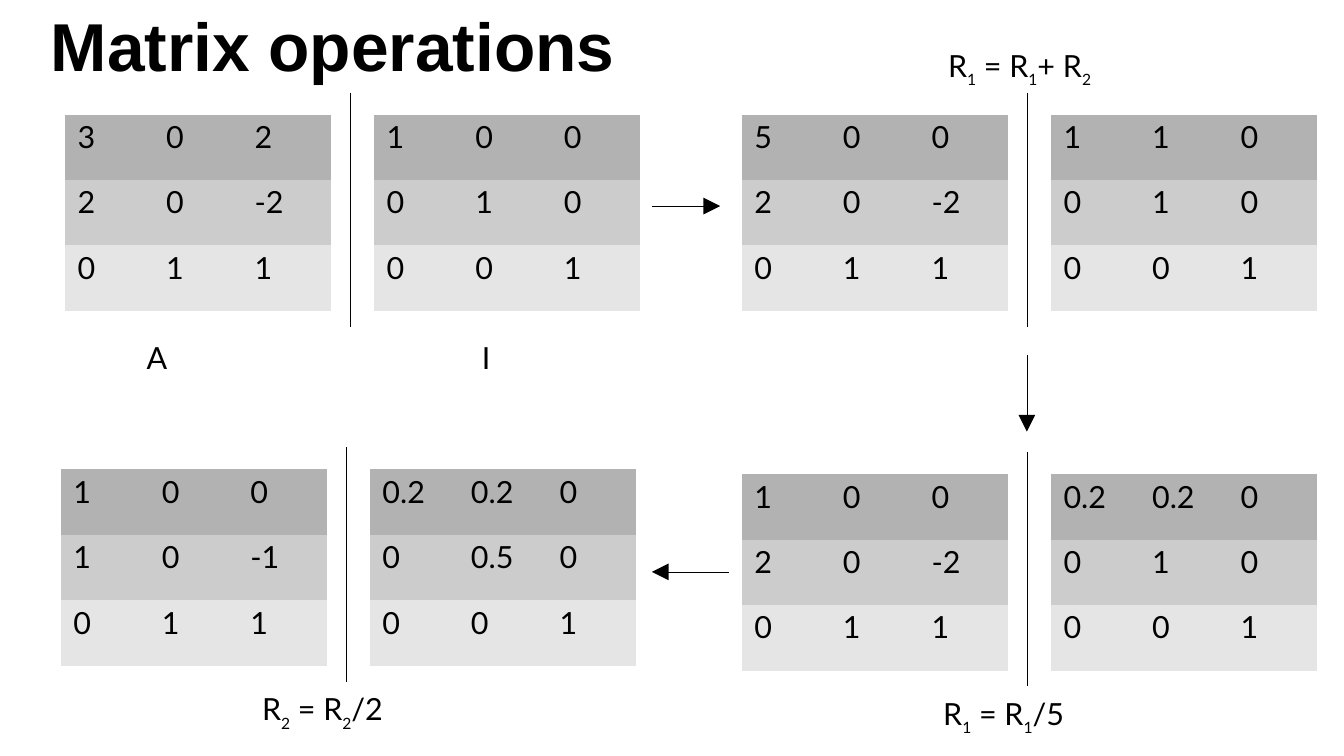
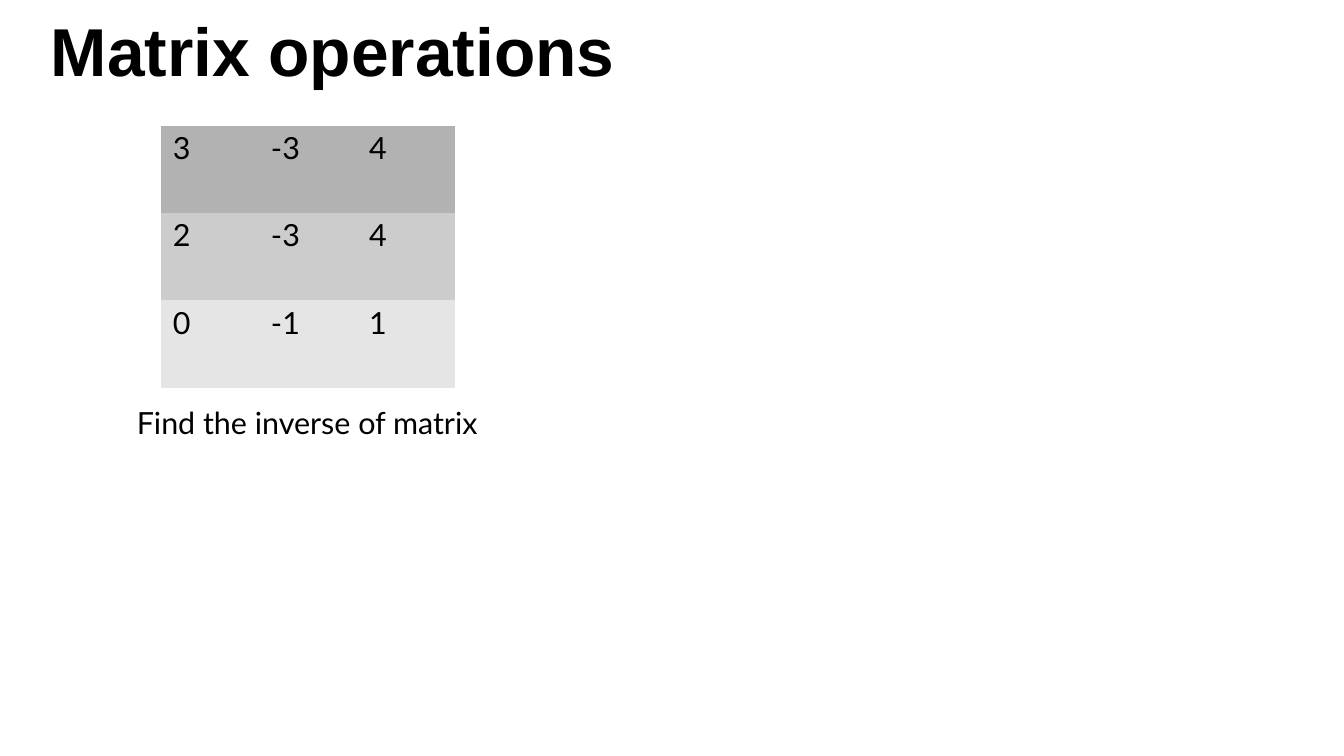
from lxml.etree import SubElement
from pptx import Presentation
from pptx.dml.color import RGBColor
from pptx.enum.shapes import MSO_CONNECTOR
from pptx.enum.text import MSO_ANCHOR
from pptx.oxml.ns import qn
from pptx.util import Inches, Pt

COLORS = {"ink": "000000", "row_1": "B2B2B2", "row_2": "CCCCCC", "row_3": "E5E5E5"}
ROW_FILLS = [COLORS["row_1"], COLORS["row_2"], COLORS["row_3"]]
TITLE_FONT, BODY_FONT = "Arial", "Lato"
PLAIN_TABLE = "{2D5ABB26-0587-4C30-8999-92F81FD0307C}"

WIDTH, HEIGHT = Pt(794), Pt(446.5)
COLUMN, ROW = WIDTH / 110, HEIGHT / 62
MATRIX_WIDTH, MATRIX_HEIGHT = 21.75, 16.1

IDENTITY = [[1, 0, 0], [0, 1, 0], [0, 0, 1]]
STEPS = [
    {"left": 5.35, "top": 9.4,
     "matrices": ([[3, 0, 2], [2, 0, -2], [0, 1, 1]], IDENTITY),
     "labels": [(6.65, 18.4, ["A"]), (34.1, 18.4, ["I"])]},
    {"left": 60.75, "top": 9.4,
     "matrices": ([[5, 0, 0], [2, 0, -2], [0, 1, 1]],
                  [[1, 1, 0], [0, 1, 0], [0, 0, 1]]),
     "labels": [(16.85, -5.55, ["R", "1", " = R", "1", "+ R", "2"])]},
    {"left": 60.75, "top": 38.9,
     "matrices": ([[1, 0, 0], [2, 0, -2], [0, 1, 1]],
                  [[0.2, 0.2, 0], [0, 1, 0], [0, 0, 1]]),
     "labels": [(16.45, 18.1, ["R", "1", " = R", "1", "/5"])]},
    {"left": 5, "top": 38.5,
     "matrices": ([[1, 0, 0], [1, 0, -1], [0, 1, 1]],
                  [[0.2, 0.2, 0], [0, 0.5, 0], [0, 0, 1]]),
     "labels": [(16.45, 18.1, ["R", "2", " = R", "2", "/2"])]},
]
ARROWS = [
    (53.35, 16.9, 58.95, 16.9),
    (84.05, 29.1, 84.05, 35.4),
    (59.65, 46.9, 53.35, 46.9),
]


def on_grid(left, top, width, height):
    """Turn columns and rows of the grid into slide lengths."""
    return (round(left * COLUMN), round(top * ROW),
            round(width * COLUMN), round(height * ROW))


def style_font(font, size=18, name=BODY_FONT, bold=False):
    """Set the typeface, size and ink of a font."""
    font.name, font.size, font.bold = name, Pt(size), bold
    font.color.rgb = RGBColor.from_string(COLORS["ink"])


def add_text(page, box, parts, **style):
    """Write a line whose every second part is a subscript."""
    frame = page.shapes.add_textbox(*on_grid(*box)).text_frame
    frame.word_wrap = True
    frame.margin_left = frame.margin_top = frame.margin_right = frame.margin_bottom = 0
    for index, part in enumerate(parts):
        span = frame.paragraphs[0].add_run()
        span.text = part
        style_font(span.font, **style)
        if index % 2:
            span.font.size = Pt(15.8)
            span.font._element.set("baseline", "-32000")


def add_title(page, top):
    """Place the heading shared by the slides."""
    add_text(page, (4.15, top, 46.4, 6.9), ["Matrix operations"],
             size=40, name=TITLE_FONT, bold=True)


def add_line(page, left, top, right, bottom, arrow=False):
    """Draw a thin line, with an arrowhead at its end on request."""
    begin_x, begin_y, end_x, end_y = on_grid(left, top, right, bottom)
    line = page.shapes.add_connector(MSO_CONNECTOR.STRAIGHT, begin_x, begin_y, end_x, end_y)
    line.line.width = Pt(0.25)
    line.line.color.rgb = RGBColor.from_string(COLORS["ink"])
    if arrow:
        SubElement(line.line._get_or_add_ln(), qn("a:tailEnd"),
                   type="triangle", w="lg", len="lg")
    SubElement(line._element.spPr, qn("a:effectLst"))


def add_matrix(page, box, values):
    """Fill the box with a table shaded row by row."""
    table = page.shapes.add_table(len(values), len(values[0]), *on_grid(*box)).table
    table.first_row = table.horz_banding = False
    table._tbl.tblPr.find(qn("a:tableStyleId")).text = PLAIN_TABLE
    for row, (numbers, fill) in enumerate(zip(values, ROW_FILLS)):
        for column, number in enumerate(numbers):
            cell = table.cell(row, column)
            cell.fill.solid()
            cell.fill.fore_color.rgb = RGBColor.from_string(fill)
            cell.vertical_anchor = MSO_ANCHOR.TOP
            cell.margin_left, cell.margin_top = Inches(0.1), Inches(0.03)
            cell.margin_right = cell.margin_bottom = 0
            para = cell.text_frame.paragraphs[0]
            para.text = str(number)
            style_font(para.runs[0].font)


def add_step(page, left, top, matrices, labels):
    """Place two matrices, the rule between them and their labels."""
    for offset, values in zip((0, 25.3), matrices):
        add_matrix(page, (left + offset, top, MATRIX_WIDTH, MATRIX_HEIGHT), values)
    rule = left + 23.3
    add_line(page, rule, top - 1.8, rule, top + 17.4)
    for across, down, parts in labels:
        add_text(page, (left + across, top + down, 15, 3.3), parts)


def build_steps(page):
    """Show the row operations in order, joined by arrows."""
    add_title(page, 0.35)
    for step in STEPS:
        add_step(page, **step)
    for ends in ARROWS:
        add_line(page, *ends, arrow=True)


def build_exercise(page):
    """Show the matrix to invert above its task."""
    add_title(page, 0.75)
    add_matrix(page, (13.15, 10.3, 24.1, 21.5), [[3, -3, 4], [2, -3, 4], [0, -1, 1]])
    add_text(page, (11.2, 33.1, 30, 3.3), ["Find the inverse of matrix"])


def main():
    """Build and save the deck."""
    deck = Presentation()
    deck.slide_width, deck.slide_height = WIDTH, HEIGHT
    for build in (build_steps, build_exercise):
        build(deck.slides.add_slide(deck.slide_layouts[6]))
    deck.save("out.pptx")


if __name__ == "__main__":
    main()
